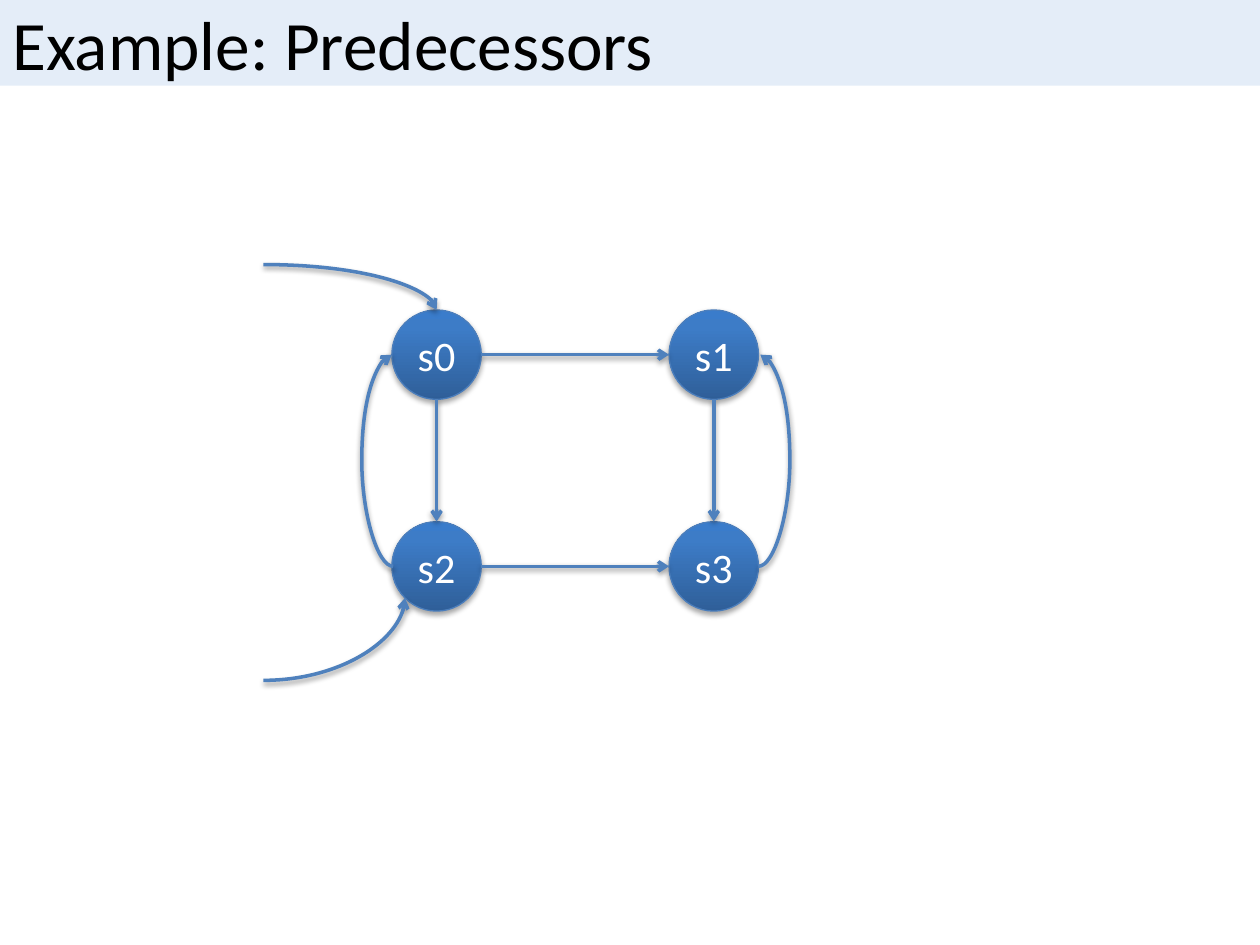
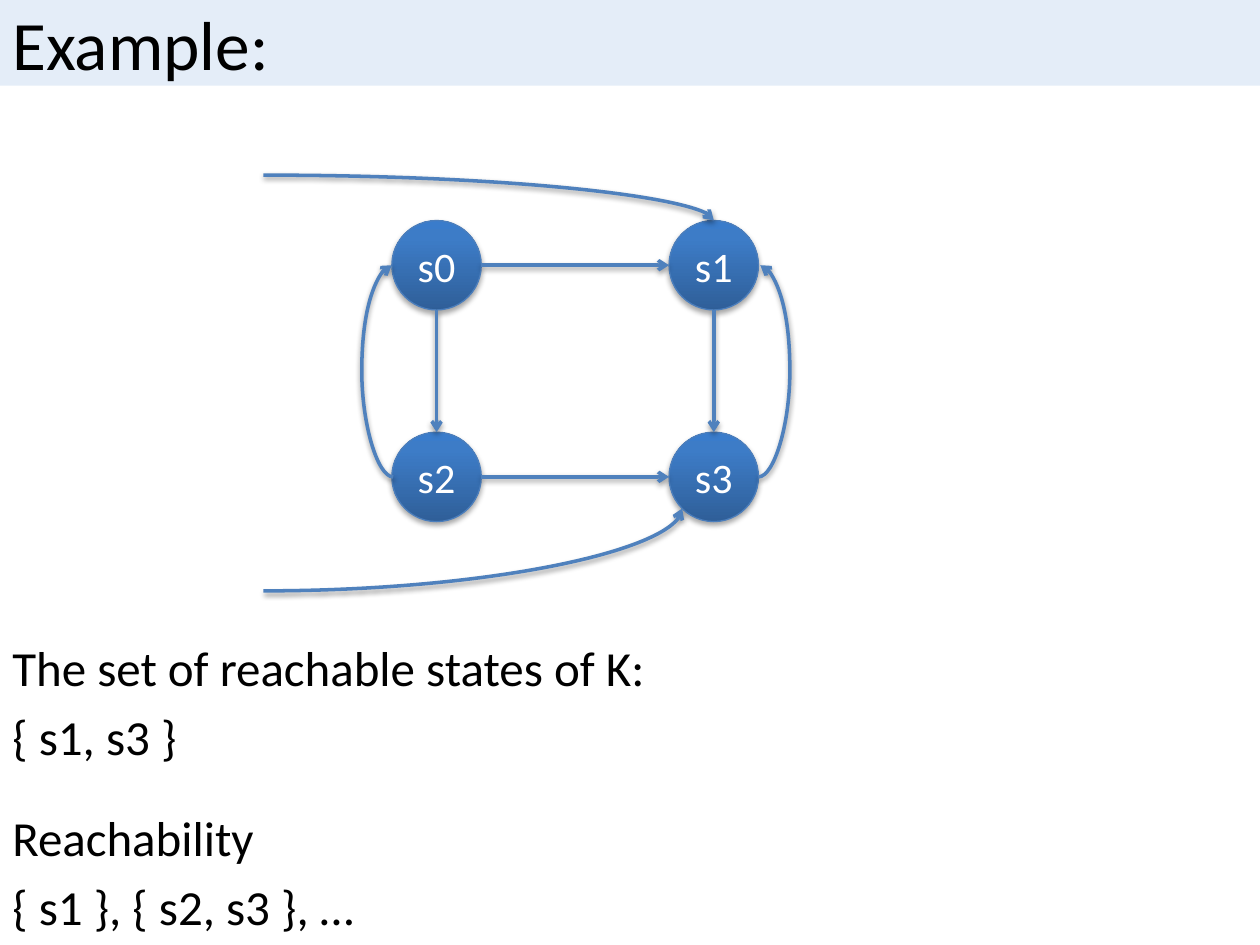
import copy
import math

import lxml.etree
import pptx
import pptx.dml.color
import pptx.enum.shapes
import pptx.enum.text
import pptx.oxml.ns
import pptx.util

SHAPE = pptx.enum.shapes.MSO_SHAPE
CONNECTOR = pptx.enum.shapes.MSO_CONNECTOR
ALIGN = pptx.enum.text.PP_ALIGN
MIDDLE = pptx.enum.text.MSO_ANCHOR.MIDDLE
qn = pptx.oxml.ns.qn

COLUMNS, ROWS = 100, 75
DIAMETER = 7.1
RADIUS = DIAMETER / 2
LEFT, COLUMN_STEP, ROW_STEP = 31.1, 22, 16.8
ENTRY_COLUMN = 20.9
BULGE = 2.5


def rgb(value):
    return pptx.dml.color.RGBColor.from_string(value)


def child(parent, tag, **attributes):
    return lxml.etree.SubElement(parent, qn(tag), {k: str(v) for k, v in attributes.items()})


class Deck:
    font = {"name": "Calibri"}
    band, ink, paper = "C6D9F1", "000000", "FFFFFF"
    rim, arrow = "4B7EBC", "4F81BD"
    gradient = [(0, "2F5F99"), (0.8, "3D7CC7"), (1, "3A7CCB")]

    def __init__(self):
        self.prs = pptx.Presentation()
        self.prs.slide_width = pptx.util.Inches(10)
        self.prs.slide_height = pptx.util.Inches(7.5)
        self.s = None

    def x(self, columns):
        return round(self.prs.slide_width * columns / COLUMNS)

    def y(self, rows):
        return round(self.prs.slide_height * rows / ROWS)

    def box(self, left, top, width, height):
        return self.x(left), self.y(top), self.x(width), self.y(height)

    def slide(self, title):
        self.s = self.prs.slides.add_slide(self.prs.slide_layouts[6])
        sp = self.s.shapes.add_shape(SHAPE.RECTANGLE, *self.box(0, 0, COLUMNS, 6.8))
        sp.shadow.inherit = False
        sp.fill.solid()
        sp.fill.fore_color.rgb = rgb(self.band)
        child(sp._element.spPr.find(".//" + qn("a:srgbClr")), "a:alpha", val=47000)
        sp.line.fill.background()
        self.put_lines(sp.text_frame, [title], 39.6, self.ink, anchor=MIDDLE)

    def put_lines(self, tf, lines, size, color, align=ALIGN.LEFT, anchor=None):
        tf.word_wrap = True
        if anchor is not None:
            tf.vertical_anchor = anchor
        for i, line in enumerate(lines):
            p = tf.paragraphs[0] if i == 0 else tf.add_paragraph()
            p.alignment = align
            if i:
                p.space_before = pptx.util.Pt(size * 0.2)
            r = p.add_run()
            r.text = line
            for key, value in {**self.font, "size": pptx.util.Pt(size)}.items():
                setattr(r.font, key, value)
            r.font.color.rgb = rgb(color)

    def text(self, top, lines):
        sp = self.s.shapes.add_textbox(*self.box(0, top, COLUMNS, 11.4))
        self.put_lines(sp.text_frame, lines, 28, self.ink)

    def shadow(self, effects, distance, opacity):
        shade = child(effects, "a:outerShdw", blurRad=40000, dist=distance,
                      dir=5400000, rotWithShape=0)
        child(child(shade, "a:srgbClr", val=self.ink), "a:alpha", val=opacity * 1000)

    def state(self, name, center):
        cx, cy = center
        sp = self.s.shapes.add_shape(
            SHAPE.OVAL, *self.box(cx - RADIUS, cy - RADIUS, DIAMETER, DIAMETER))
        sp.fill.gradient()
        sp.fill.gradient_angle = 90
        stops = sp._element.spPr.find(".//" + qn("a:gsLst"))
        stops.append(copy.deepcopy(stops[-1]))
        for stop, (position, color) in zip(sp.fill.gradient_stops, self.gradient):
            stop.position = position
            stop.color.rgb = rgb(color)
        sp.line.color.rgb = rgb(self.rim)
        sp.line.width = pptx.util.Pt(0.75)
        sp.shadow.inherit = False
        self.shadow(sp._element.spPr.find(qn("a:effectLst")), 23000, 35)
        self.put_lines(sp.text_frame, [name], 24, self.paper, ALIGN.CENTER, MIDDLE)

    def edge(self, start, end, kind=CONNECTOR.STRAIGHT):
        cxn = self.s.shapes.add_connector(
            kind, self.x(start[0]), self.y(start[1]), self.x(end[0]), self.y(end[1]))
        cxn.line.color.rgb = rgb(self.arrow)
        cxn.line.width = pptx.util.Pt(2)
        props = cxn._element.spPr
        child(props.find(qn("a:ln")), "a:tailEnd", type="arrow")
        self.shadow(child(props, "a:effectLst"), 20000, 38)
        return props

    def entry(self, start, end):
        props = self.edge(start, end, CONNECTOR.CURVE)
        props.find(qn("a:prstGeom")).set("prst", "curvedConnector2")

    def loop(self, start, end):
        props = self.edge(start, end, CONNECTOR.CURVE)
        xfrm = props.find(qn("a:xfrm"))
        if end[0] < start[0]:
            for flip in ("flipH", "flipV"):
                xfrm.attrib.pop(flip, None)
            xfrm.set("rot", "10800000")
        guides = props.find(qn("a:prstGeom")).find(qn("a:avLst"))
        share = round(BULGE / abs(end[0] - start[0]) * 100000)
        child(guides, "a:gd", name="adj1", fmla=f"val {share}")

    def automaton(self, top, upper_entry, lower_entry):
        centers = {
            f"s{2 * row + column}": (LEFT + RADIUS + column * COLUMN_STEP,
                                     top + RADIUS + row * ROW_STEP)
            for row in range(2) for column in range(2)
        }
        for name, center in centers.items():
            self.state(name, center)

        def at(name, dx=0, dy=0):
            cx, cy = centers[name]
            return cx + dx * RADIUS, cy + dy * RADIUS

        for source, target in (("s0", "s2"), ("s1", "s3")):
            self.edge(at(source, dy=1), at(target, dy=-1))
        for source, target in (("s0", "s1"), ("s2", "s3")):
            self.edge(at(source, dx=1), at(target, dx=-1))
        self.loop(at("s3", dx=1), at("s1", dx=1.04))
        self.loop(at("s2", dx=-0.97), at("s0", dx=-1))
        diagonal = math.sqrt(0.5)
        self.entry((ENTRY_COLUMN, top - 3.6), at(upper_entry, dy=-1))
        self.entry((ENTRY_COLUMN, top + 29.4), at(lower_entry, -diagonal, diagonal))


def main():
    deck = Deck()
    deck.slide("Example: Predecessors")
    deck.automaton(24.6, "s0", "s2")
    deck.slide("Example:")
    deck.automaton(17.5, "s1", "s3")
    deck.text(50.1, ["The set of reachable states of K:", "{ s1, s3 }"])
    deck.text(63.6, ["Reachability", "{ s1 }, { s2, s3 }, …"])
    deck.prs.save("out.pptx")


if __name__ == "__main__":
    main()
